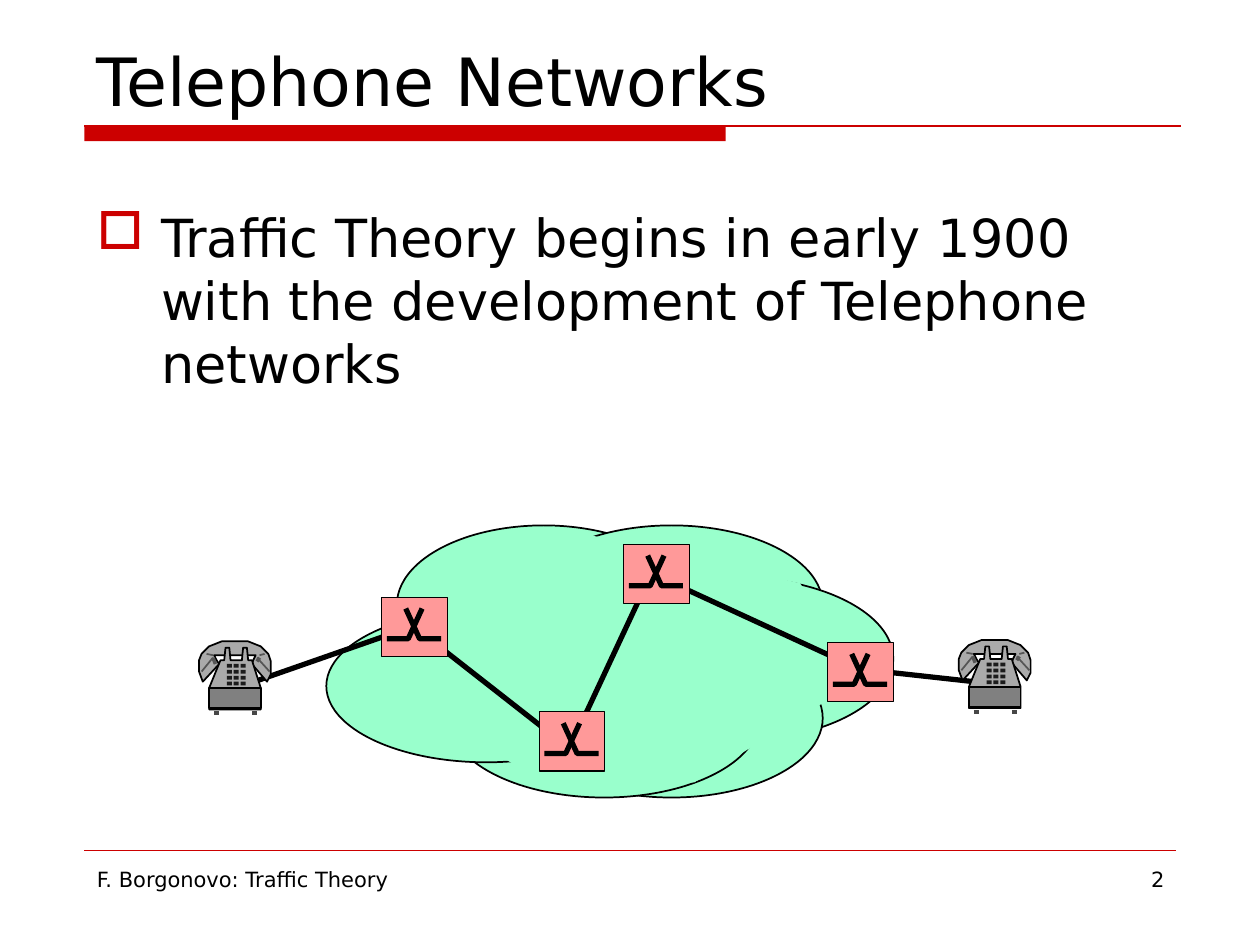
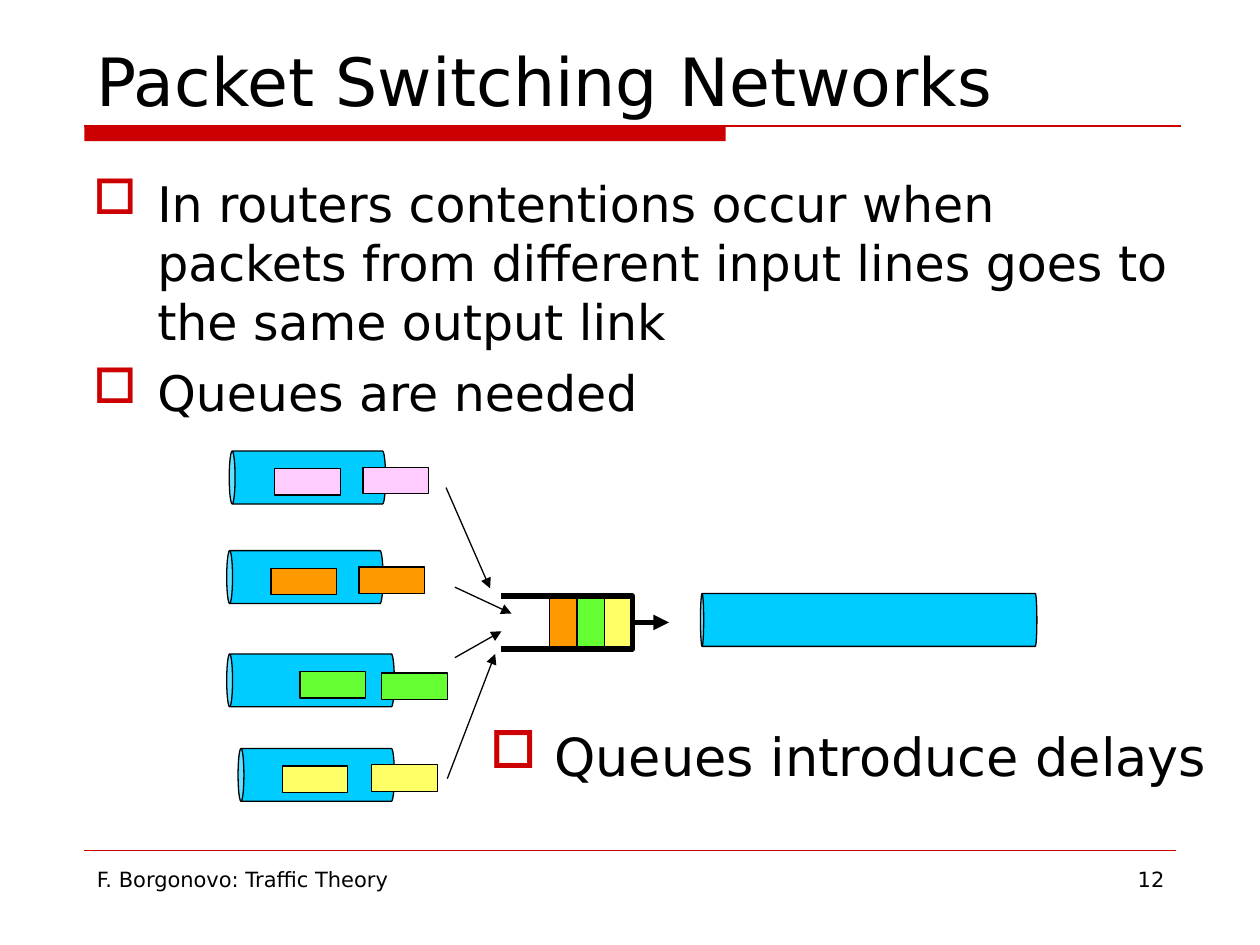
"""Build two slides on telephone networks and packet switching queues."""
from dataclasses import dataclass
from typing import Optional, Sequence, Union

from lxml import etree
import pptx
import pptx.dml.color
import pptx.enum.shapes
import pptx.enum.text
import pptx.oxml.ns
import pptx.shapes.autoshape
import pptx.shapes.connector
import pptx.shapes.shapetree
import pptx.slide
import pptx.util

Inches = pptx.util.Inches
Pt = pptx.util.Pt
MSO = pptx.enum.shapes.MSO_SHAPE
ALIGN = pptx.enum.text.PP_ALIGN
ANCHOR = pptx.enum.text.MSO_ANCHOR
qn = pptx.oxml.ns.qn

Point = tuple[float, float]
Box = tuple[float, float, float, float]
Tree = Union[pptx.shapes.shapetree.SlideShapes, pptx.shapes.shapetree.GroupShapes]
Shape = pptx.shapes.autoshape.Shape

FONT = "DejaVu Sans"
FOOTER = "F. Borgonovo: Traffic Theory"
COLOURS = {
    "black": "000000", "accent": "CC0000", "cloud": "99FFCC", "switch": "FF9999",
    "phone": "AAAAAA", "base": "808080", "key": "1C1C1C", "foot": "474747",
    "cord": "555555", "pipe": "00CCFF", "pink": "FFCCFF", "orange": "FF9900",
    "green": "66FF33", "yellow": "FFFF66",
}


@dataclass(frozen=True)
class Stroke:
    start: Point
    end: Point
    colour: str
    width: float


@dataclass(frozen=True)
class InputLine:
    colour: str
    pipe: Box
    packets: tuple[Point, Point]
    arrow: tuple[Point, Point]


CLOUD_PUFFS: list[Box] = [
    (3.15, 4.17, 2.33, 1.26), (4.13, 4.17, 2.4, 1.26), (4.55, 4.58, 2.54, 1.3),
    (4.13, 5.07, 2.4, 1.26), (3.56, 5.07, 2.47, 1.26), (2.59, 4.84, 2.54, 1.21),
]
CLOUD_CORE = [(3.26, 4.77), (2.92, 5.39), (4.24, 6.16), (5.51, 6.21),
              (6.84, 5.39), (6.35, 4.63), (4.39, 4.18)]
CALL_ROUTE = [(1.79, 5.49), (3.28, 4.97), (4.52, 5.94), (5.17, 4.55),
              (6.82, 5.31), (8, 5.44)]
PHONES = [(1.58, 5.09), (7.61, 5.08)]
SWITCHES = [(3.03, 4.74), (4.28, 5.65), (4.95, 4.32), (6.57, 5.1)]
SWITCH_MARKS = [
    [(0.19, 0.09), (0.3, 0.33), (0.47, 0.33)],
    [(0.32, 0.09), (0.21, 0.33), (0.04, 0.33)],
]
HANDSET = [(0.54, 0.32), (0.57, 0.26), (0.57, 0.16), (0.55, 0.1), (0.49, 0.04),
           (0.39, 0), (0.18, 0), (0.08, 0.04), (0.02, 0.1), (0, 0.15), (0, 0.24),
           (0.03, 0.32), (0.16, 0.18), (0.14, 0.15), (0.12, 0.11), (0.45, 0.11),
           (0.43, 0.15), (0.42, 0.18)]
PHONE_BODY = [(0.49, 0.54), (0.49, 0.37), (0.42, 0.15), (0.39, 0.15), (0.38, 0.05),
              (0.35, 0.05), (0.34, 0.15), (0.25, 0.15), (0.24, 0.05), (0.21, 0.05),
              (0.2, 0.15), (0.17, 0.15), (0.08, 0.37), (0.08, 0.54)]
FEET = [Stroke((x, 0.57), (x + 0.04, 0.57), "foot", 2) for x in (0.12, 0.42)]
CORDS = [
    Stroke((0.13, 0.18), (0.11, 0.13), "cord", 2),
    Stroke((0.11, 0.11), (0.06, 0.1), "cord", 1),
    Stroke((0.46, 0.16), (0.48, 0.13), "cord", 2),
    Stroke((0.48, 0.11), (0.52, 0.1), "cord", 1),
    Stroke((0.46, 0.13), (0.56, 0.24), "cord", 1),
    Stroke((0.11, 0.13), (0.02, 0.24), "cord", 1),
]
INPUT_LINES = [
    InputLine("pink", (1.82, 3.58, 1.24, 0.42), ((2.88, 3.71), (2.18, 3.72)),
              ((3.54, 3.87), (3.89, 4.67))),
    InputLine("orange", (1.8, 4.37, 1.24, 0.42), ((2.85, 4.5), (2.15, 4.51)),
              ((3.61, 4.66), (4.06, 4.87))),
    InputLine("green", (1.8, 5.19, 1.33, 0.42), ((3.03, 5.34), (2.38, 5.33)),
              ((3.61, 5.22), (3.98, 5.01))),
    InputLine("yellow", (1.89, 5.94, 1.24, 0.42), ((2.95, 6.07), (2.24, 6.08)),
              ((3.55, 6.18), (3.93, 5.19))),
]


def rgb(name: str) -> pptx.dml.color.RGBColor:
    return pptx.dml.color.RGBColor.from_string(COLOURS[name])


def shift(points: Sequence[Point], origin: Point) -> list[Point]:
    return [(x + origin[0], y + origin[1]) for x, y in points]


def paint(sp: Shape, fill: Optional[str], line: Optional[str], width: float) -> None:
    sp.shadow.inherit = False
    if fill:
        sp.fill.solid()
        sp.fill.fore_color.rgb = rgb(fill)
    else:
        sp.fill.background()
    if line:
        sp.line.color.rgb = rgb(line)
        sp.line.width = Pt(width)
    else:
        sp.line.fill.background()


def add_preset(tree: Tree, kind: MSO, box: Box, fill: str,
               line: Optional[str] = "black", width: float = 0.75) -> Shape:
    sp = tree.add_shape(kind, *map(Inches, box))
    paint(sp, fill, line, width)
    return sp


def add_path(tree: Tree, points: Sequence[Point], fill: Optional[str] = None,
             line: Optional[str] = "black", width: float = 3) -> Shape:
    emu = [(Inches(x), Inches(y)) for x, y in points]
    builder = tree.build_freeform(*emu[0])
    builder.add_line_segments(emu[1:], close=fill is not None)
    sp = builder.convert_to_shape()
    paint(sp, fill, line, width)
    return sp


def add_line(tree: Tree, stroke: Stroke,
             arrow: bool = False) -> pptx.shapes.connector.Connector:
    cx = tree.add_connector(pptx.enum.shapes.MSO_CONNECTOR.STRAIGHT,
                            *map(Inches, stroke.start + stroke.end))
    cx.line.color.rgb = rgb(stroke.colour)
    cx.line.width = Pt(stroke.width)
    props = cx.element.spPr
    if arrow:
        etree.SubElement(props.find(qn("a:ln")), qn("a:tailEnd"), type="triangle")
    etree.SubElement(props, qn("a:effectLst"))
    return cx


def add_bullet(p) -> None:
    props = p._p.get_or_add_pPr()
    props.set("marL", str(Inches(0.51)))
    props.set("indent", str(-Inches(0.51)))
    colour = etree.SubElement(props, qn("a:buClr"))
    etree.SubElement(colour, qn("a:srgbClr"), val=COLOURS["accent"])
    etree.SubElement(props, qn("a:buChar"), char="□")


def add_text(s: pptx.slide.Slide, box: Box, lines: Sequence[str], size: float,
             bullets: bool = False, align: ALIGN = ALIGN.LEFT,
             anchor: ANCHOR = ANCHOR.TOP) -> None:
    tf = s.shapes.add_textbox(*map(Inches, box)).text_frame
    tf.word_wrap = True
    tf.vertical_anchor = anchor
    tf.text = "\n".join(lines)
    for i, p in enumerate(tf.paragraphs):
        p.alignment = align
        if bullets:
            add_bullet(p)
        if i:
            p.space_before = Pt(size / 4)
        for r in p.runs:
            r.font.name = FONT
            r.font.size = Pt(size)
            r.font.color.rgb = rgb("black")


def add_slide(prs, title: str, number: int) -> pptx.slide.Slide:
    s = prs.slides.add_slide(prs.slide_layouts[6])
    add_preset(s.shapes, MSO.RECTANGLE, (0.67, 1, 5.09, 0.12), "accent", None)
    add_line(s.shapes, Stroke((0.67, 1), (9.37, 1), "accent", 0.75))
    add_line(s.shapes, Stroke((0.67, 6.75), (9.33, 6.75), "accent", 0.25))
    add_text(s, (0.67, -0.33, 8.75, 1.33), [title], 38, anchor=ANCHOR.BOTTOM)
    add_text(s, (0.67, 6.83, 5.25, 0.52), [FOOTER], 12)
    add_text(s, (7.17, 6.83, 2.17, 0.52), [str(number)], 12, align=ALIGN.RIGHT)
    return s


def add_phone(s: pptx.slide.Slide, origin: Point) -> None:
    x, y = origin
    tree = s.shapes.add_group_shape().shapes
    add_path(tree, shift(HANDSET, origin), "phone", width=1)
    add_path(tree, shift(PHONE_BODY, origin), "phone", width=1)
    add_preset(tree, MSO.RECTANGLE, (x + 0.08, y + 0.37, 0.41, 0.16), "base", width=1)
    for part in FEET + CORDS:
        start, end = shift((part.start, part.end), origin)
        add_line(tree, Stroke(start, end, part.colour, part.width))
    for row in range(4):
        for col in range(3):
            key = (x + 0.22 + 0.055 * col, y + 0.18 + 0.047 * row, 0.04, 0.03)
            add_preset(tree, MSO.RECTANGLE, key, "key", None)


def add_switch(s: pptx.slide.Slide, origin: Point) -> None:
    tree = s.shapes.add_group_shape().shapes
    add_preset(tree, MSO.RECTANGLE, origin + (0.52, 0.47), "switch")
    for mark in SWITCH_MARKS:
        add_path(tree, shift(mark, origin))


def add_pipe(s: pptx.slide.Slide, box: Box, cap: float) -> None:
    x, y, w, h = box
    upright = (x + (w - h) / 2, y + (h - w) / 2, h, w)
    sp = add_preset(s.shapes, MSO.CAN, upright, "pipe")
    sp.adjustments[0] = cap
    sp.rotation = 270


def telephone_slide(prs) -> None:
    s = add_slide(prs, "Telephone Networks", 2)
    add_text(s, (0.67, 1.58, 8.75, 4.67),
             ["Traffic Theory begins in early 1900 with the development of "
              "Telephone networks"], 30, bullets=True)
    for puff in CLOUD_PUFFS:
        add_preset(s.shapes, MSO.OVAL, puff, "cloud", width=1)
    add_path(s.shapes, CLOUD_CORE, "cloud", None)
    add_path(s.shapes, CALL_ROUTE)
    for origin in PHONES:
        add_phone(s, origin)
    for origin in SWITCHES:
        add_switch(s, origin)


def packet_slide(prs) -> None:
    s = add_slide(prs, "Packet Switching Networks", 12)
    add_text(s, (0.64, 1.33, 8.75, 2.09),
             ["In routers contentions occur when packets from different input "
              "lines goes to the same output link", "Queues are needed"],
             28, bullets=True)
    for item in INPUT_LINES:
        add_pipe(s, item.pipe, 0.11)
        for packet in item.packets:
            add_preset(s.shapes, MSO.RECTANGLE, packet + (0.52, 0.21), item.colour)
        add_line(s.shapes, Stroke(*item.arrow, "black", 0.75), arrow=True)
    for i, colour in enumerate(("orange", "green", "yellow")):
        slot = add_preset(s.shapes, MSO.RECTANGLE,
                          (4.36 + 0.22 * i, 4.73, 0.22, 0.42), colour)
    add_path(s.shapes, [(3.98, 4.73), (5.02, 4.73), (5.02, 5.15), (3.98, 5.15)])
    out = add_line(s.shapes, Stroke((5.02, 4.94), (5.31, 4.94), "black", 3), arrow=True)
    out.begin_connect(slot, 3)
    add_pipe(s, (5.56, 4.71, 2.67, 0.42), 0.06)
    add_text(s, (3.79, 5.7, 6.42, 0.65), ["Queues introduce delays"], 30, bullets=True)


def main() -> None:
    prs = pptx.Presentation()
    prs.slide_width, prs.slide_height = Inches(10), Inches(7.5)
    telephone_slide(prs)
    packet_slide(prs)
    prs.save("out.pptx")


if __name__ == "__main__":
    main()
